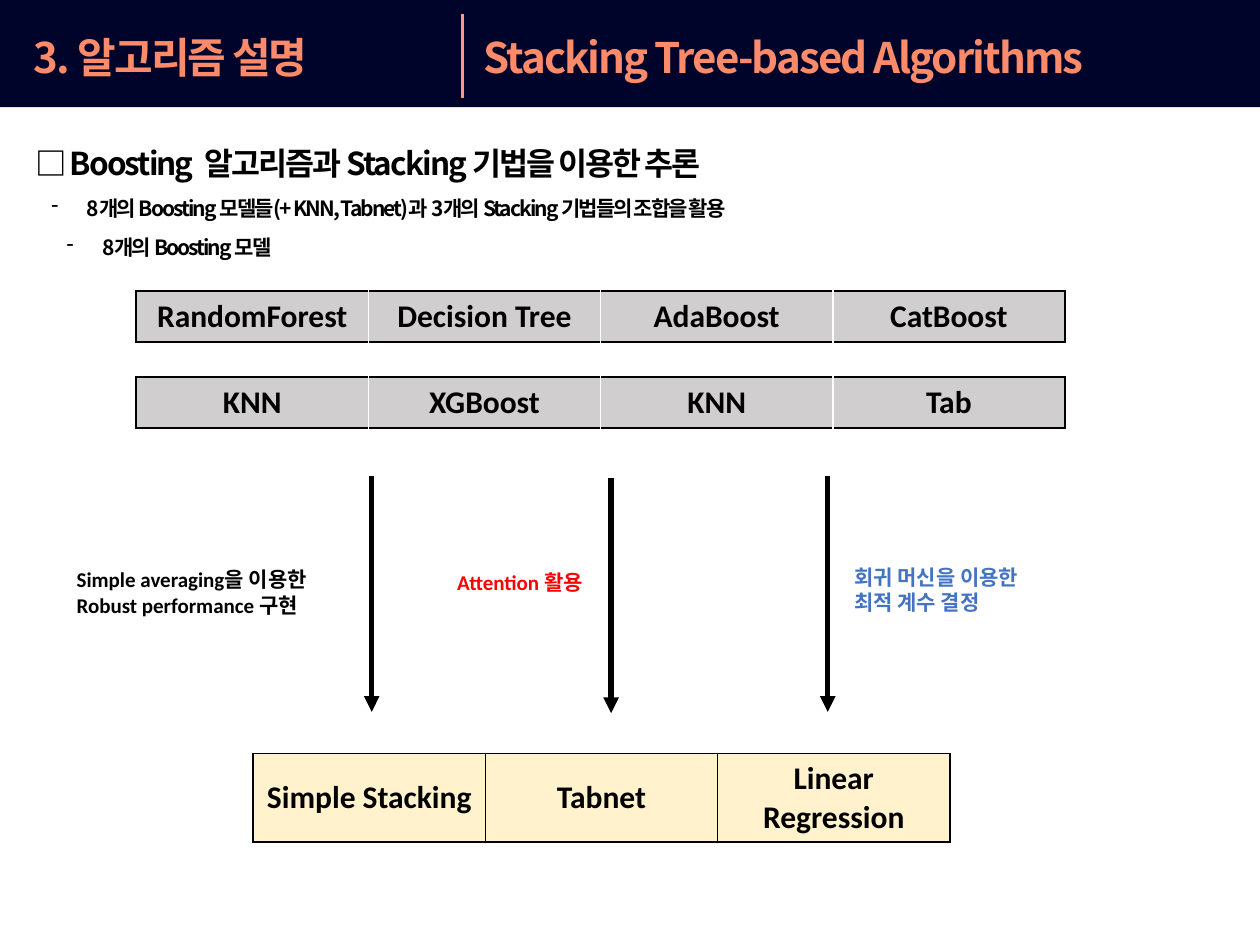
from lxml import etree
from pptx import Presentation
from pptx.dml.color import RGBColor
from pptx.enum.shapes import MSO_CONNECTOR, MSO_SHAPE
from pptx.enum.text import MSO_ANCHOR, MSO_AUTO_SIZE, PP_ALIGN
from pptx.oxml.ns import qn
from pptx.util import Pt

STRAIGHT = MSO_CONNECTOR.STRAIGHT
RECTANGLE = MSO_SHAPE.RECTANGLE
TOP, MIDDLE = MSO_ANCHOR.TOP, MSO_ANCHOR.MIDDLE
FIT_SHAPE = MSO_AUTO_SIZE.SHAPE_TO_FIT_TEXT
CENTER = PP_ALIGN.CENTER

KOREAN_FONT = "Noto Sans CJK KR"
LATIN_FONT = "Calibri"
BLACK, WHITE = "000000", "FFFFFF"
NAVY, CORAL, LIGHT_CORAL = "00032A", "FD8A69", "FF9B7D"
GRAY, CREAM, RED, BLUE = "D0CECE", "FFF2CC", "FF0000", "4472C4"

COLUMN_WIDTH = 132.7


def paint(color_format, color):
    color_format.rgb = RGBColor.from_string(color)


def paint_fill(fill, color):
    fill.solid()
    paint(fill.fore_color, color)


def style_paragraph(paragraph, size, color, font_name, spacing=0):
    """Set the bold font, its Korean typeface and its letter spacing."""
    font = paragraph.font
    font.size, font.bold, font.name = Pt(size), True, font_name
    paint(font.color, color)
    properties = paragraph._p.pPr.find(qn("a:defRPr"))
    etree.SubElement(properties, qn("a:ea"), typeface=KOREAN_FONT)
    if spacing:
        properties.set("spc", str(round(spacing * 100)))


def add_text(slide, box, lines, size, color, font_name=KOREAN_FONT,
             spacing=0, anchor=TOP, line_spacing=None, wrap=True):
    frame = slide.shapes.add_textbox(*map(Pt, box)).text_frame
    frame.word_wrap = wrap
    frame.auto_size = FIT_SHAPE
    frame.vertical_anchor = anchor
    frame.text = "\n".join(lines)
    for paragraph in frame.paragraphs:
        if line_spacing:
            paragraph.line_spacing = line_spacing
        style_paragraph(paragraph, size, color, font_name, spacing)
    return frame


def add_heading(slide, box, text, size, color, line_spacing=None):
    add_text(slide, box, [text], size, color, spacing=-1.1,
             anchor=MIDDLE, line_spacing=line_spacing)


def add_dash_item(slide, left, top, text):
    frame = add_text(slide, (left, top, 641.5, 36), [text], 12, BLACK,
                     spacing=-1.1, line_spacing=2)
    properties = frame.paragraphs[0]._p.pPr
    properties.set("marL", str(Pt(20.25)))
    properties.set("indent", str(Pt(-20.25)))
    dash = etree.Element(qn("a:buChar"), char="-")
    properties.find(qn("a:defRPr")).addprevious(dash)


def add_note(slide, box, lines, color, wrap=True):
    add_text(slide, box, lines, 12, color, LATIN_FONT, wrap=wrap)


def add_line(slide, x, top, bottom, color, width, arrow=False):
    line = slide.shapes.add_connector(
        STRAIGHT, Pt(x), Pt(top), Pt(x), Pt(bottom))
    paint(line.line.color, color)
    line.line.width = Pt(width)
    if arrow:
        etree.SubElement(line.line._get_or_add_ln(), qn("a:tailEnd"),
                         type="triangle")
    etree.SubElement(line._element.spPr, qn("a:effectLst"))


def set_borders(cell, colors):
    """Draw 1 pt borders, with colors given by side: L, R, T, B."""
    properties = cell._tc.get_or_add_tcPr()
    for position, (side, color) in enumerate(colors.items()):
        border = etree.Element(qn(f"a:ln{side}"), w=str(Pt(1)))
        fill = etree.SubElement(border, qn("a:solidFill"))
        etree.SubElement(fill, qn("a:srgbClr"), val=color)
        properties.insert(position, border)


def add_model_row(slide, left, top, height, models, fill, divider):
    count = len(models)
    table = slide.shapes.add_table(
        1, count, Pt(left), Pt(top), Pt(COLUMN_WIDTH * count),
        Pt(height)).table
    table.first_row = table.horz_banding = False
    for index, model in enumerate(models):
        table.columns[index].width = Pt(COLUMN_WIDTH)
        cell = table.cell(0, index)
        cell.text = model
        cell.vertical_anchor = MIDDLE
        paragraph = cell.text_frame.paragraphs[0]
        paragraph.alignment = CENTER
        style_paragraph(paragraph, 18, BLACK, LATIN_FONT)
        paint_fill(cell.fill, fill)
        set_borders(cell, {
            "L": BLACK if index == 0 else divider,
            "R": BLACK if index == count - 1 else divider,
            "T": BLACK,
            "B": BLACK,
        })


def add_title_bar(slide):
    bar = slide.shapes.add_shape(RECTANGLE, 0, 0, Pt(720), Pt(61.2))
    bar.shadow.inherit = False
    paint_fill(bar.fill, NAVY)
    bar.line.fill.background()
    add_heading(slide, (12.2, 14.4, 291, 36), "3. 알고리즘 설명", 24, CORAL)
    add_line(slide, 264.2, 8, 56, LIGHT_CORAL, 2)
    add_heading(slide, (269.3, 14.4, 435.6, 36),
                "Stacking Tree-based Algorithms", 24, CORAL)


def main():
    presentation = Presentation()
    presentation.slide_width, presentation.slide_height = Pt(720), Pt(540)
    slide = presentation.slides.add_slide(presentation.slide_layouts[6])

    add_title_bar(slide)
    add_heading(slide, (13, 56.9, 692, 51.1),
                "□ Boosting  알고리즘과 Stacking 기법을 이용한 추론",
                18, BLACK, line_spacing=2)
    add_dash_item(slide, 22.3, 93.6,
                  "8개의 Boosting 모델들(+ KNN, Tabnet)과 "
                  "3개의 Stacking 기법들의 조합을 활용")
    add_dash_item(slide, 31, 115.9, "8개의 Boosting 모델")

    base_models = [
        (166.3, ["RandomForest", "Decision Tree", "AdaBoost", "CatBoost"]),
        (215.3, ["KNN", "XGBoost", "KNN", "Tab"]),
    ]
    for top, models in base_models:
        add_model_row(slide, 77.8, top, 29.2, models, GRAY, WHITE)
    add_model_row(slide, 144.7, 430.6, 50.4,
                  ["Simple Stacking", "Tabnet", "Linear Regression"],
                  CREAM, BLACK)

    for x, top in [(212.4, 272.2), (349.2, 272.9), (473, 272.2)]:
        add_line(slide, x, top, top + 134.6, BLACK, 3, arrow=True)
    add_note(slide, (36.7, 320.4, 150.5, 36),
             ["Simple averaging을 이용한\vRobust performance 구현"], BLACK)
    add_note(slide, (254.2, 321.8, 89.3, 21.6), ["Attention 활용"], RED,
             wrap=False)
    add_note(slide, (481, 319, 155.5, 36),
             ["회귀 머신을 이용한", "최적 계수 결정"], BLUE)

    presentation.save("out.pptx")


if __name__ == "__main__":
    main()
